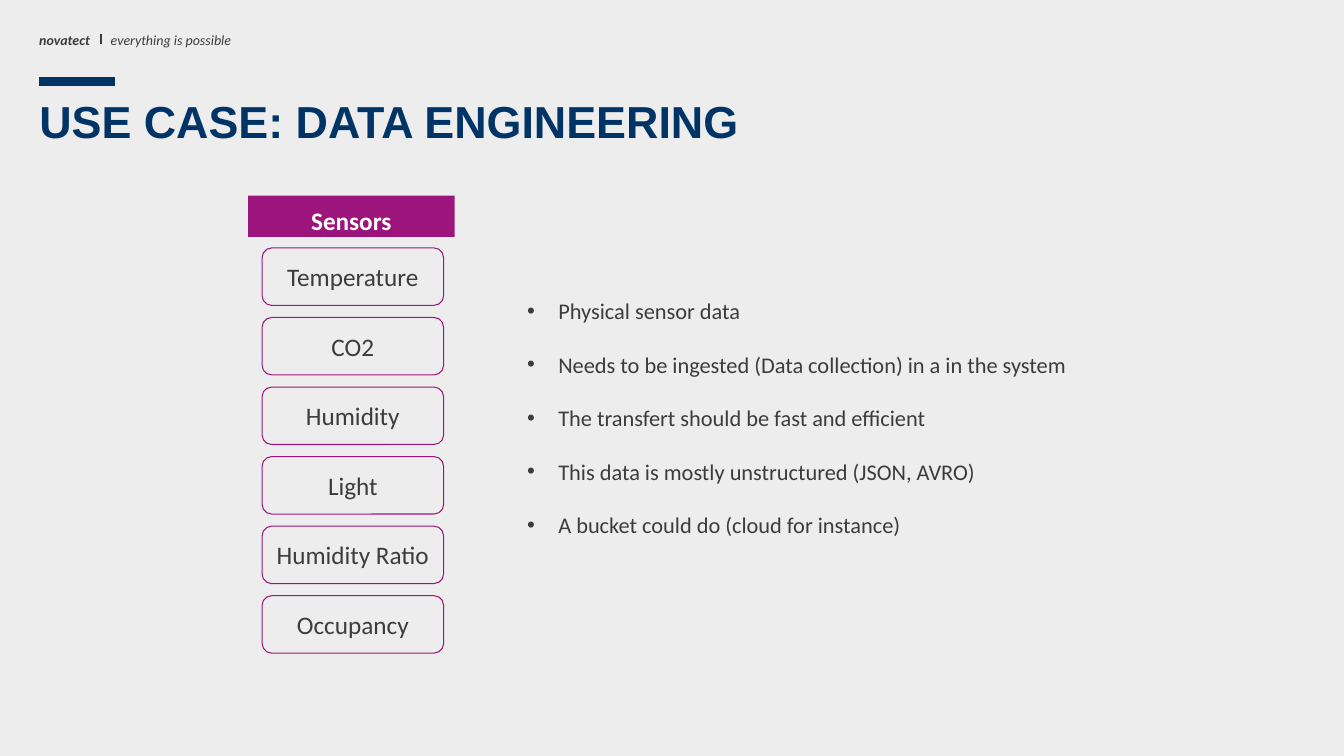
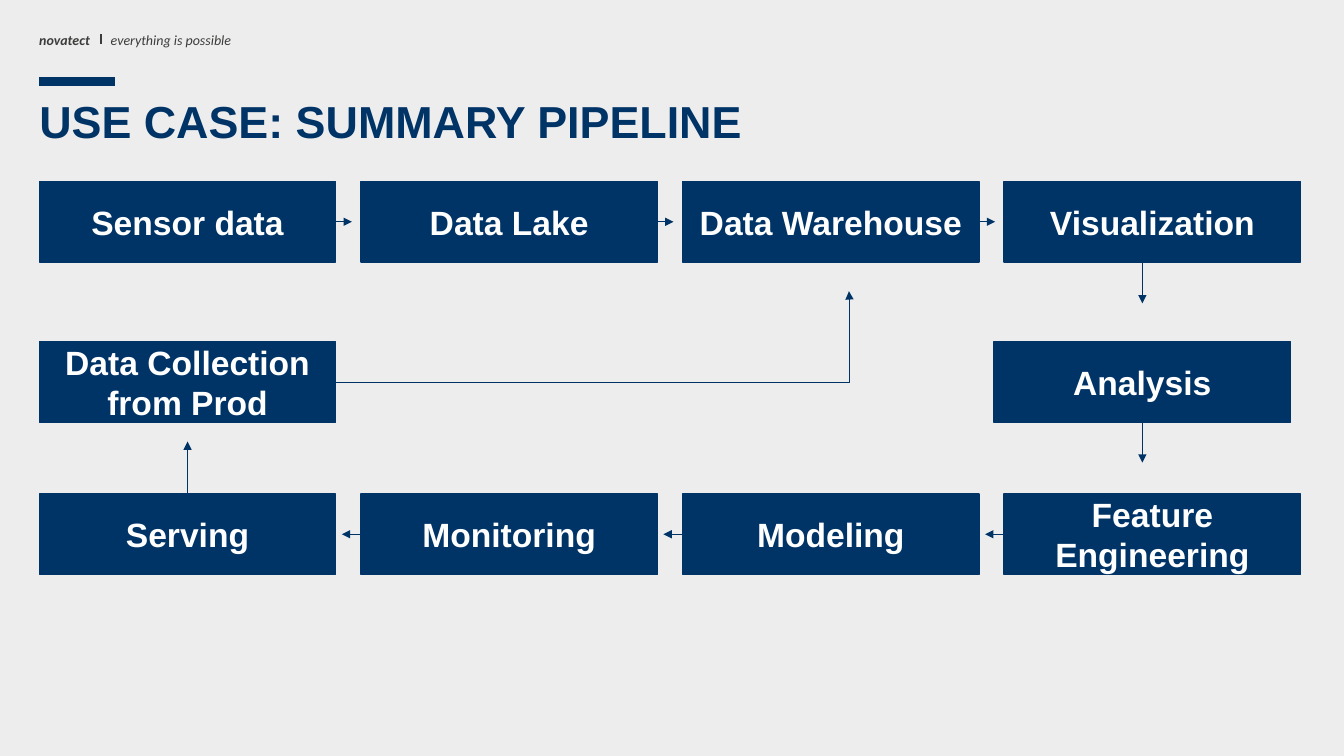
from dataclasses import dataclass

from lxml.etree import SubElement
from pptx import Presentation
from pptx.dml.color import RGBColor
from pptx.enum.shapes import MSO_CONNECTOR, MSO_SHAPE
from pptx.enum.text import MSO_ANCHOR, MSO_AUTO_SIZE, PP_ALIGN
from pptx.oxml.ns import qn
from pptx.util import Inches, Pt


@dataclass(frozen=True)
class Theme:
    background: RGBColor = RGBColor.from_string("EDEDED")
    navy: RGBColor = RGBColor.from_string("003366")
    purple: RGBColor = RGBColor.from_string("9B157C")
    ink: RGBColor = RGBColor.from_string("3C3C3B")
    white: RGBColor = RGBColor.from_string("FFFFFF")
    heading_font: str = "Arial"
    body_font: str = "Calibri"
    title_size: int = 32
    step_size: int = 24
    sensor_size: int = 18
    bullet_size: int = 16
    header_size: int = 10


THEME = Theme()
TOP, BOTTOM, LEFT, RIGHT = 0, 2, 1, 3  # connection sites of a rectangle


# Shared helpers
def format_font(paragraph, name, size, color, bold=False, italic=False):
    font = paragraph.font
    font.name, font.size = name, Pt(size)
    font.bold, font.italic = bold, italic
    font.color.rgb = color


def add_box(slide, kind, box, text, fill, line=None, line_width=1):
    """Draw a filled shape with centred text; return it and its paragraph."""
    shape = slide.shapes.add_shape(kind, *map(Inches, box))
    shape.shadow.inherit = False
    shape.fill.solid()
    shape.fill.fore_color.rgb = fill
    if line is None:
        shape.line.fill.background()
    else:
        shape.line.color.rgb = line
        shape.line.width = Pt(line_width)
    frame = shape.text_frame
    frame.word_wrap = True
    frame.vertical_anchor = MSO_ANCHOR.MIDDLE
    paragraph = frame.paragraphs[0]
    paragraph.text = text
    paragraph.alignment = PP_ALIGN.CENTER
    return shape, paragraph


def add_line(slide, start, end, color, width, kind=MSO_CONNECTOR.STRAIGHT, arrow=False):
    connector = slide.shapes.add_connector(kind, *map(Inches, (*start, *end)))
    connector.line.color.rgb = color
    connector.line.width = Pt(width)
    if arrow:
        SubElement(connector.line._get_or_add_ln(), qn("a:tailEnd"), type="triangle")
    SubElement(connector._element.spPr, qn("a:effectLst"))
    return connector


def add_header_text(slide, box, text, alignment, bold=False):
    frame = slide.shapes.add_textbox(*map(Inches, box)).text_frame
    frame.word_wrap = True
    paragraph = frame.paragraphs[0]
    paragraph.text = text
    paragraph.alignment = alignment
    format_font(paragraph, THEME.body_font, THEME.header_size, THEME.ink, bold, italic=True)


def add_titled_slide(presentation, title_text):
    """Add a slide with the brand header, accent bar and title."""
    slide = presentation.slides.add_slide(presentation.slide_layouts[5])

    # Brand header
    add_header_text(slide, (0.19, 0.26, 0.8, 0.27), "novatect", PP_ALIGN.RIGHT, bold=True)
    add_line(slide, (1, 0.34), (1, 0.44), THEME.ink, 1)
    add_header_text(slide, (1, 0.26, 1.6, 0.27), "everything is possible", PP_ALIGN.LEFT)

    # Accent bar and title
    add_line(slide, (0.39, 0.81), (1.14, 0.81), THEME.navy, 6)
    title = slide.shapes.title
    title.left, title.top, title.width, title.height = map(Inches, (0.29, 0.88, 12.63, 0.64))
    frame = title.text_frame
    frame.auto_size = MSO_AUTO_SIZE.NONE
    frame.vertical_anchor = MSO_ANCHOR.TOP
    paragraph = frame.paragraphs[0]
    paragraph.text = title_text
    paragraph.alignment = PP_ALIGN.LEFT
    format_font(paragraph, THEME.heading_font, THEME.title_size, THEME.navy, bold=True)
    return slide


# Data engineering slide
def add_sensor_list(slide, left, top, width, heading, sensors):
    header, paragraph = add_box(slide, MSO_SHAPE.RECTANGLE, (left, top, width, 0.41),
                                heading, THEME.purple)
    header.text_frame.vertical_anchor = MSO_ANCHOR.TOP
    header.text_frame.margin_top = Inches(0.1)
    format_font(paragraph, THEME.body_font, THEME.sensor_size, THEME.white, bold=True)

    inset, first, pitch = 0.14, 0.52, 0.69
    for row, sensor in enumerate(sensors):
        box = (left + inset, top + first + row * pitch, width - 0.25, 0.57)
        _, paragraph = add_box(slide, MSO_SHAPE.ROUNDED_RECTANGLE, box, sensor,
                               THEME.background, THEME.purple, 0.75)
        format_font(paragraph, THEME.body_font, THEME.sensor_size, THEME.ink)


def add_bullets(slide, box, items):
    frame = slide.shapes.add_textbox(*map(Inches, box)).text_frame
    frame.word_wrap = True
    for index, item in enumerate(items):
        paragraph = frame.add_paragraph() if index else frame.paragraphs[0]
        paragraph.text = item
        paragraph.alignment = PP_ALIGN.JUSTIFY
        if index:
            paragraph.space_before = Pt(19)
        properties = paragraph._p.get_or_add_pPr()
        properties.set("marL", str(Inches(0.31)))
        properties.set("indent", str(-Inches(0.31)))
        SubElement(properties, qn("a:buFont"), typeface="Arial")
        SubElement(properties, qn("a:buChar"), char="•")
        format_font(paragraph, THEME.body_font, THEME.bullet_size, THEME.ink)


def build_data_engineering(presentation):
    slide = add_titled_slide(presentation, "USE CASE: DATA ENGINEERING")
    add_sensor_list(slide, 2.46, 1.94, 2.05, "Sensors",
                    ("Temperature", "CO2", "Humidity", "Light", "Humidity Ratio", "Occupancy"))
    add_bullets(slide, (5.13, 2.9, 6.26, 2.79), (
        "Physical sensor data",
        "Needs to be ingested (Data collection) in a in the system",
        "The transfert should be fast and efficient",
        "This data is mostly unstructured (JSON, AVRO)",
        "A bucket could do (cloud for instance)",
    ))


# Summary pipeline slide
def add_step(slide, left, top, width, height, text):
    shape, paragraph = add_box(slide, MSO_SHAPE.RECTANGLE, (left, top, width, height),
                               text, THEME.navy, THEME.navy)
    frame = shape.text_frame
    frame.margin_top = frame.margin_bottom = 0
    format_font(paragraph, THEME.heading_font, THEME.step_size, THEME.white, bold=True)
    return shape


def add_arrow(slide, start, end, step=None, site=None):
    arrow = add_line(slide, start, end, THEME.navy, 0.5, arrow=True)
    if step is not None:
        arrow.begin_connect(step, site)


def add_pipeline(slide, left, top):
    width, height, pitch = 2.94, 0.8, 3.19
    middle_top, bottom_top = top + 1.59, top + 3.1
    analysis_left = left + 9.47

    def add_row(row_top, labels):
        return [add_step(slide, left + column * pitch, row_top, width, height, label)
                for column, label in enumerate(labels)]

    # Steps
    upper = add_row(top, ("Sensor data", "Data Lake", "Data Warehouse", "Visualization"))
    lower = add_row(bottom_top, ("Serving", "Monitoring", "Modeling", "Feature Engineering"))
    analysis = add_step(slide, analysis_left, middle_top, width, height, "Analysis")
    add_step(slide, left, middle_top, width, height, "Data Collection from Prod")

    # Arrows along the rows: rightwards above, leftwards below
    upper_y, lower_y = top + height / 2, bottom_top + height / 2
    for column in range(3):
        edge, next_edge = left + column * pitch + width, left + (column + 1) * pitch
        add_arrow(slide, (edge, upper_y), (edge + 0.16, upper_y), upper[column], RIGHT)
        add_arrow(slide, (next_edge, lower_y), (edge + 0.06, lower_y), lower[column + 1], LEFT)

    # Arrows between the rows
    right_x, left_x = analysis_left + width / 2, left + width / 2
    add_arrow(slide, (right_x, top + height), (right_x, top + 1.21))
    add_arrow(slide, (right_x, middle_top + height), (right_x, middle_top + 1.2), analysis, BOTTOM)
    add_arrow(slide, (left_x, bottom_top), (left_x, bottom_top - 0.52), lower[0], TOP)

    # Feedback arrow: across, then up to the warehouse
    feedback = add_line(slide, (left + width, middle_top + height / 2), (left + 8.03, top + 1.09),
                        THEME.navy, 0.5, MSO_CONNECTOR.ELBOW, arrow=True)
    geometry = feedback._element.spPr.find(qn("a:prstGeom"))
    SubElement(geometry.find(qn("a:avLst")), qn("a:gd"), name="adj1", fmla="val 100100")


def build_summary_pipeline(presentation):
    slide = add_titled_slide(presentation, "USE CASE: SUMMARY PIPELINE")
    add_pipeline(slide, 0.39, 1.8)


def main():
    presentation = Presentation()
    presentation.slide_width, presentation.slide_height = Inches(13.33), Inches(7.5)
    background = presentation.slide_master.background.fill
    background.solid()
    background.fore_color.rgb = THEME.background
    build_data_engineering(presentation)
    build_summary_pipeline(presentation)
    presentation.save("out.pptx")


if __name__ == "__main__":
    main()
